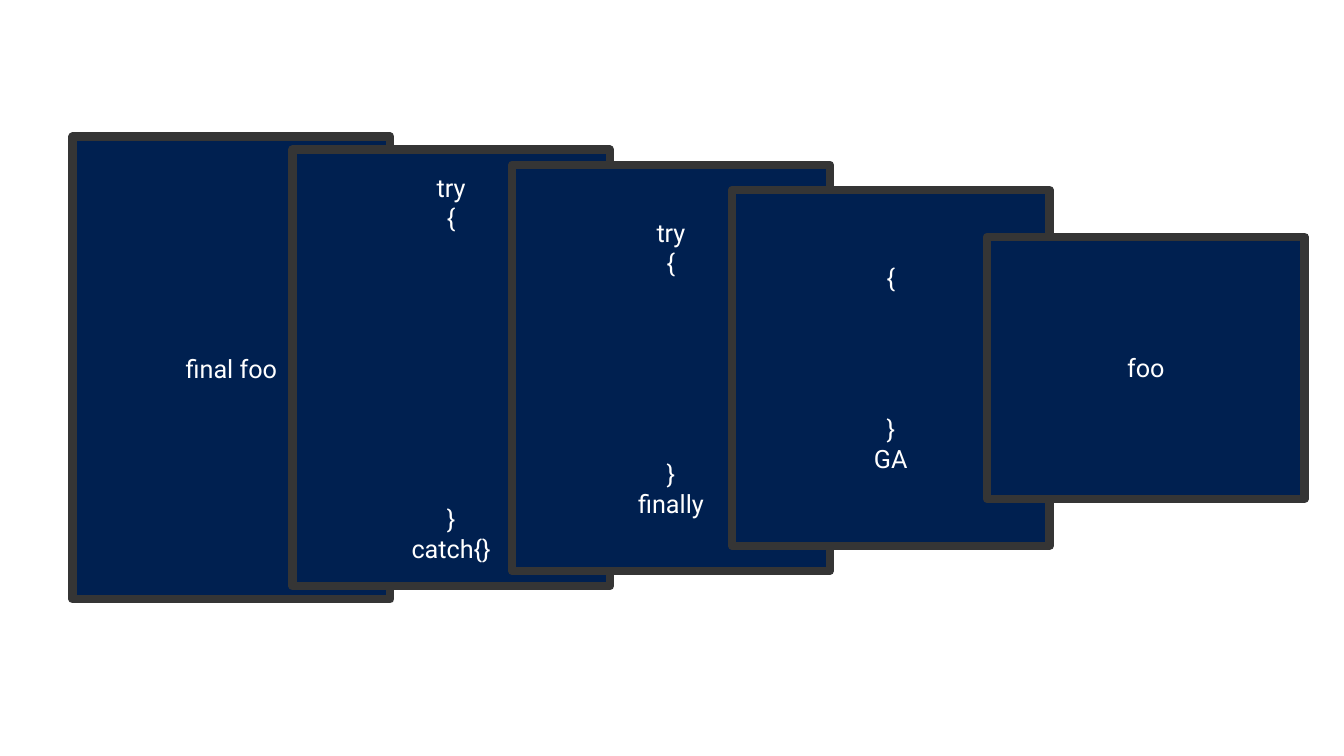
import pptx
import pptx.util
import pptx.dml.color
import pptx.enum.shapes
import pptx.enum.text
import lxml.etree
from dataclasses import dataclass

# Height, opening lines, closing lines, open rows between them
CARDS = [
    (4.59, ["final foo"], [], 0),
    (4.33, ["try", "{"], ["}", "catch{}"], 9),
    (4.03, ["try", "{"], ["}", "finally"], 6),
    (3.53, ["{"], ["}", "GA"], 4),
    (2.60, ["foo"], [], 0),
]
WIDE, HIGH = 13.33, 7.5
LEFT, STEP, WIDTH = 0.72, 2.18, 3.15
LAST = 9.79  # the innermost card stands further out
MID = 3.65


@dataclass
class Theme:
    fill: str = "002050"
    edge: str = "353535"
    text: str = "FFFFFF"
    font: str = "Roboto"
    size: float = 18
    row: float = 21.5
    line: float = 6


theme = Theme()
inch = pptx.util.Inches
point = pptx.util.Pt
color = pptx.dml.color.RGBColor.from_string


def write(frame, head, tail, rows):
    """Set the lines, with the open rows as space before the tail."""
    frame.word_wrap = True
    frame.vertical_anchor = pptx.enum.text.MSO_ANCHOR.MIDDLE
    for i, text in enumerate(head + tail):
        para = frame.add_paragraph() if i else frame.paragraphs[0]
        para.text = text
        para.alignment = pptx.enum.text.PP_ALIGN.CENTER
        if tail and i == len(head):
            para.space_before = point(rows * theme.row)
        para.font.name = theme.font
        para.font.size = point(theme.size)
        para.font.color.rgb = color(theme.text)


def card(slide, left, high, head, tail, rows):
    box = slide.shapes.add_shape(
        pptx.enum.shapes.MSO_SHAPE.RECTANGLE,
        inch(left), inch(MID - high / 2), inch(WIDTH), inch(high))
    box.shadow.inherit = False
    box.fill.solid()
    box.fill.fore_color.rgb = color(theme.fill)
    box.line.color.rgb = color(theme.edge)
    box.line.width = point(theme.line)
    edge = box.line._get_or_add_ln()
    lxml.etree.SubElement(edge, pptx.oxml.ns.qn("a:round"))
    write(box.text_frame, head, tail, rows)


def main():
    deck = pptx.Presentation()
    deck.slide_width, deck.slide_height = inch(WIDE), inch(HIGH)
    slide = deck.slides.add_slide(deck.slide_layouts[6])
    for i, (high, head, tail, rows) in enumerate(CARDS):
        left = LAST if i == len(CARDS) - 1 else LEFT + i * STEP
        card(slide, left, high, head, tail, rows)
    deck.save("out.pptx")


if __name__ == "__main__":
    main()
